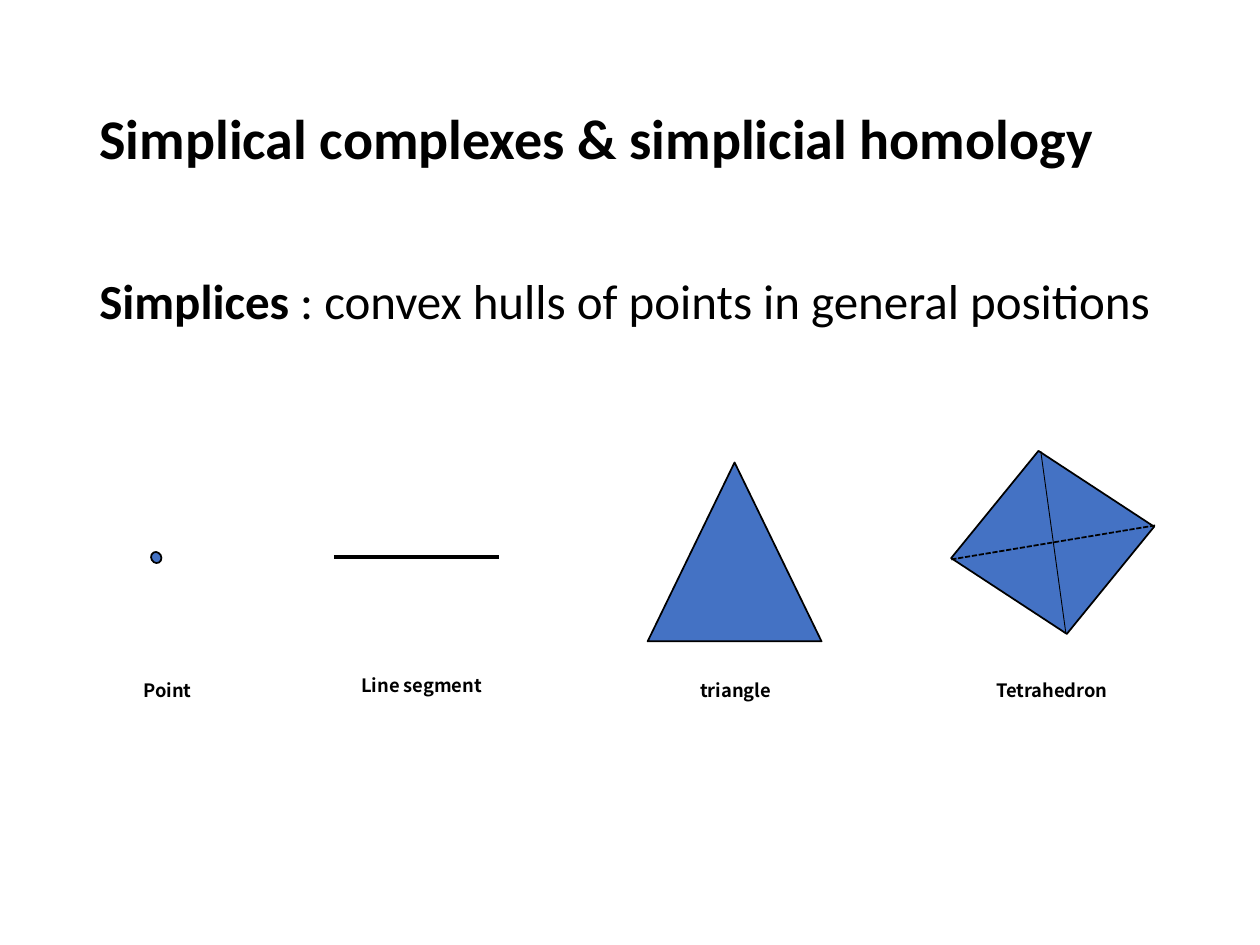
from lxml.etree import SubElement
from pptx import Presentation
from pptx.dml.color import RGBColor
from pptx.enum.dml import MSO_LINE
from pptx.enum.shapes import MSO_CONNECTOR, MSO_SHAPE
from pptx.enum.text import MSO_ANCHOR, PP_ALIGN
from pptx.oxml.ns import qn
from pptx.util import Inches, Pt

BLACK = RGBColor(0x00, 0x00, 0x00)
WHITE = RGBColor(0xFF, 0xFF, 0xFF)
BLUE = RGBColor(0x44, 0x72, 0xC4)

TITLE = "Simplical complexes & simplicial homology"
DEFINITION = [("Simplices", True), (" : convex hulls of points in general positions", False)]
# preset, (left, top, width, height), rotation
SIMPLICES = [
    (MSO_SHAPE.OVAL, (1.2, 4.38, 0.08, 0.09), 330.8),
    (MSO_SHAPE.ISOSCELES_TRIANGLE, (5.14, 3.67, 1.38, 1.42), 0),
    (MSO_SHAPE.DIAMOND, (7.54, 3.57, 1.63, 1.47), 351.2),
]
# start, end, width in points, dash
EDGES = [
    ((2.65, 4.42), (3.96, 4.42), 2.25, None),
    ((8.26, 3.58), (8.46, 5.03), 0.5, None),
    ((7.55, 4.44), (9.17, 4.17), 1, MSO_LINE.SQUARE_DOT),
]
LABEL_HEIGHT = 0.67
# text, left, top, width
LABELS = [
    ("Point", 1.04, 5.34, 1.16),
    ("Line segment", 2.77, 5.3, 1.96),
    ("triangle", 5.46, 5.34, 1.37),
    ("Tetrahedron", 7.81, 5.34, 1.84),
]
TITLE_FONT = {"name": "Calibri", "size": Pt(32), "bold": True}
DEFINITION_FONT = {"name": "Calibri", "size": Pt(28)}
LABEL_FONT = {"name": "Noto Sans CJK SC", "size": Pt(10.5), "bold": True}


def inches(values):
    return [Inches(value) for value in values]


def set_font(font, formats):
    for attribute, value in formats.items():
        setattr(font, attribute, value)
    font.color.rgb = BLACK


def add_filled(slide, preset, box, color):
    shape = slide.shapes.add_shape(preset, *inches(box))
    shape.shadow.inherit = False
    shape.fill.solid()
    shape.fill.fore_color.rgb = color
    return shape


def add_title(slide):
    title = slide.shapes.title
    title.left, title.top, title.width, title.height = inches((0.69, 0.4, 8.62, 1.45))
    frame = title.text_frame
    frame.text = TITLE
    frame.vertical_anchor = MSO_ANCHOR.MIDDLE
    paragraph = frame.paragraphs[0]
    paragraph.alignment = PP_ALIGN.LEFT
    paragraph.line_spacing = 0.9
    set_font(paragraph.runs[0].font, TITLE_FONT)


def add_definition(slide):
    frame = slide.shapes.add_textbox(*inches((0.69, 2.15, 9.04, 0.6))).text_frame
    frame.word_wrap = True
    paragraph = frame.paragraphs[0]
    paragraph.line_spacing = 0.9
    for text, bold in DEFINITION:
        run = paragraph.add_run()
        run.text = text
        set_font(run.font, {**DEFINITION_FONT, "bold": bold})


def add_simplex(slide, preset, box, rotation):
    simplex = add_filled(slide, preset, box, BLUE)
    simplex.rotation = rotation
    simplex.line.color.rgb = BLACK
    simplex.line.width = Pt(1)


def add_edge(slide, start, end, width, dash):
    edge = slide.shapes.add_connector(MSO_CONNECTOR.STRAIGHT, *inches(start + end))
    edge.line.color.rgb = BLACK
    edge.line.width = Pt(width)
    if dash:
        edge.line.dash_style = dash
    SubElement(edge._element.spPr, qn("a:effectLst"))


def add_label(slide, text, left, top, width):
    label = add_filled(slide, MSO_SHAPE.RECTANGLE, (left, top, width, LABEL_HEIGHT), WHITE)
    label.line.fill.background()
    frame = label.text_frame
    frame.text = text
    frame.word_wrap = True
    frame.vertical_anchor = MSO_ANCHOR.TOP
    paragraph = frame.paragraphs[0]
    paragraph.alignment = PP_ALIGN.JUSTIFY
    set_font(paragraph.runs[0].font, LABEL_FONT)


def main():
    deck = Presentation()
    deck.slide_width, deck.slide_height = Inches(10), Inches(7.5)
    slide = deck.slides.add_slide(deck.slide_layouts.get_by_name("Title Only"))
    add_title(slide)
    add_definition(slide)
    for simplex in SIMPLICES:
        add_simplex(slide, *simplex)
    for edge in EDGES:
        add_edge(slide, *edge)
    for label in LABELS:
        add_label(slide, *label)
    deck.save("out.pptx")


if __name__ == "__main__":
    main()
